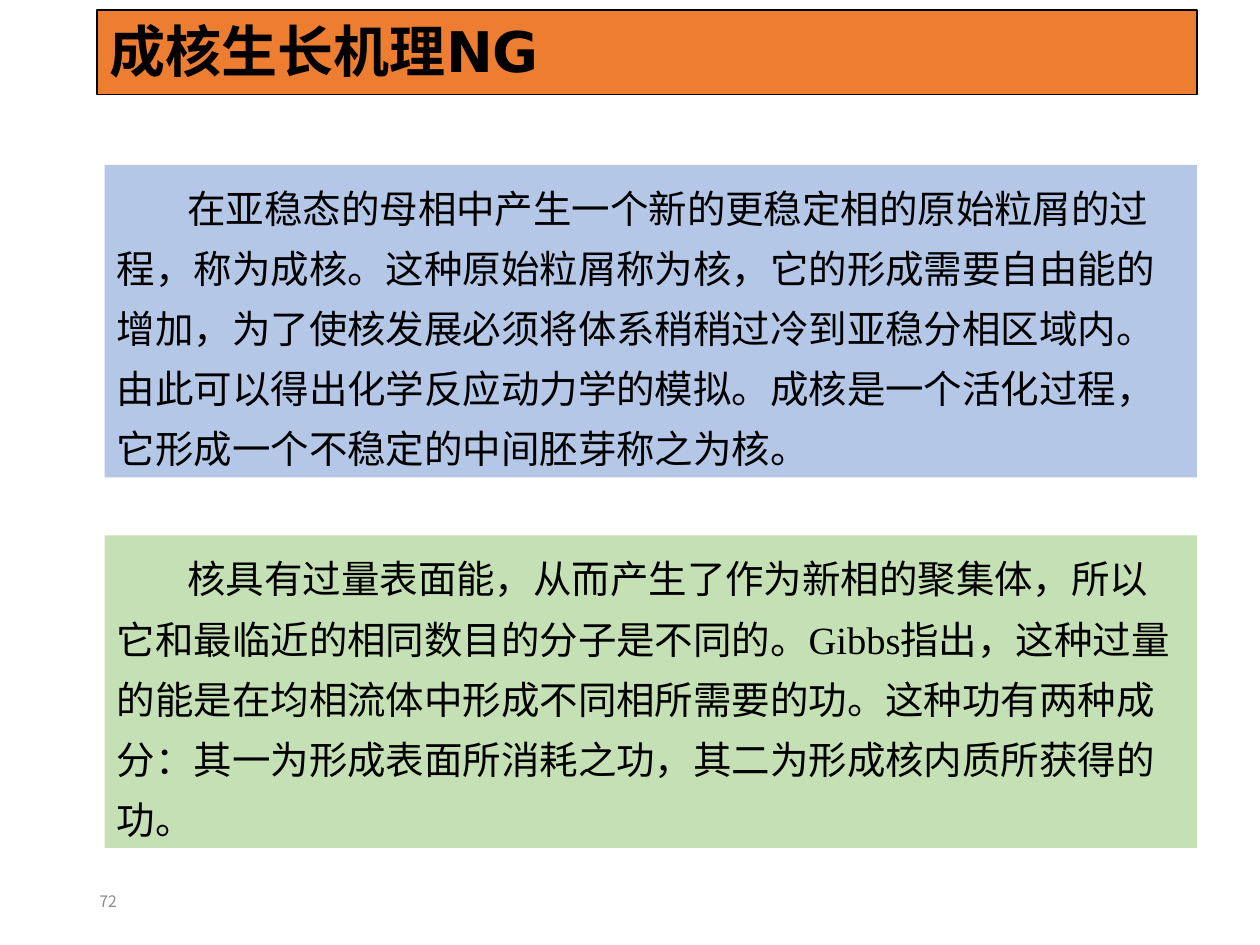
import pptx
import pptx.dml.color
import pptx.enum.text
import pptx.oxml.ns
import pptx.util
from dataclasses import dataclass
from lxml import etree

Inches = pptx.util.Inches
ANCHOR = pptx.enum.text.MSO_ANCHOR
FIT = pptx.enum.text.MSO_AUTO_SIZE


@dataclass(frozen=True)
class Theme:
    """Colours, fonts and type sizes of the slide."""
    ink: str = "000000"
    muted: str = "8C8C8C"
    banner: str = "ED7D31"
    blue: str = "B4C7E7"
    green: str = "C5E0B4"
    heading_font: str = "DejaVu Sans"
    body_font: str = "Times New Roman"
    cjk_font: str = "Noto Sans CJK SC"
    title_size: int = 32
    body_size: int = 22
    number_size: int = 9


THEME = Theme()
TITLE = "成核生长机理NG"
PANELS = [
    (1.31, THEME.blue,
     "在亚稳态的母相中产生一个新的更稳定相的原始粒屑的过程，称为成核。"
     "这种原始粒屑称为核，它的形成需要自由能的增加，为了使核发展必须将体系"
     "稍稍过冷到亚稳分相区域内。由此可以得出化学反应动力学的模拟。"
     "成核是一个活化过程，它形成一个不稳定的中间胚芽称之为核。"),
    (4.25, THEME.green,
     "核具有过量表面能，从而产生了作为新相的聚集体，所以它和最临近的相同数目的"
     "分子是不同的。Gibbs指出，这种过量的能是在均相流体中形成不同相所需要的功。"
     "这种功有两种成分：其一为形成表面所消耗之功，其二为形成核内质所获得的功。"),
]


def rgb(value):
    """Turn a hex string into a colour."""
    return pptx.dml.color.RGBColor.from_string(value)


def apply(target, values):
    """Set each attribute named in a dict of format values."""
    for name, value in values.items():
        setattr(target, name, value)


def place(sp, box):
    """Move a shape to a box given in inches."""
    apply(sp, dict(zip(("left", "top", "width", "height"), map(Inches, box))))


def fill(sp, color):
    """Give a shape a solid fill."""
    sp.fill.solid()
    sp.fill.fore_color.rgb = rgb(color)


def write(sp, text, font, size, color, bold=False, **frame):
    """Write one left-aligned paragraph and return it."""
    tf = sp.text_frame
    apply(tf, {"word_wrap": True, "auto_size": FIT.NONE, **frame})
    p = tf.paragraphs[0]
    p.alignment = pptx.enum.text.PP_ALIGN.LEFT
    r = p.add_run()
    r.text = text
    apply(r.font, {"name": font, "size": pptx.util.Pt(size), "bold": bold})
    r.font.color.rgb = rgb(color)
    ea = etree.SubElement(r.font._element, pptx.oxml.ns.qn("a:ea"))
    ea.set("typeface", THEME.cjk_font)
    return p


def add_banner(s, box):
    """Format the title placeholder as an outlined banner."""
    sp = s.shapes.title
    place(sp, box)
    fill(sp, THEME.banner)
    sp.line.color.rgb = rgb(THEME.ink)
    sp.line.width = pptx.util.Pt(0.75)
    write(sp, TITLE, THEME.heading_font, THEME.title_size, THEME.ink, True,
          vertical_anchor=ANCHOR.TOP)


def add_panel(s, box, color, text):
    """Add a filled panel holding one indented paragraph."""
    sp = s.shapes.add_textbox(*map(Inches, box))
    fill(sp, color)
    p = write(sp, text, THEME.body_font, THEME.body_size, THEME.ink,
              vertical_anchor=ANCHOR.TOP, auto_size=FIT.SHAPE_TO_FIT_TEXT)
    p.line_spacing = 1.3
    p._p.get_or_add_pPr().set("indent", str(Inches(0.56)))


def add_number(s, box, text):
    """Add the page number."""
    sp = s.shapes.add_textbox(*map(Inches, box))
    write(sp, text, THEME.cjk_font, THEME.number_size, THEME.muted,
          vertical_anchor=ANCHOR.MIDDLE)


def main():
    """Build and save the slide."""
    prs = pptx.Presentation()
    apply(prs, {"slide_width": Inches(10), "slide_height": Inches(7.5)})
    s = prs.slides.add_slide(prs.slide_layouts[5])
    add_banner(s, (0.77, 0.08, 8.73, 0.67))
    for top, color, text in PANELS:
        add_panel(s, (0.83, top, 8.67, 2.48), color, text)
    add_number(s, (0.69, 6.95, 2.25, 0.4), "72")
    prs.save("out.pptx")


if __name__ == "__main__":
    main()
